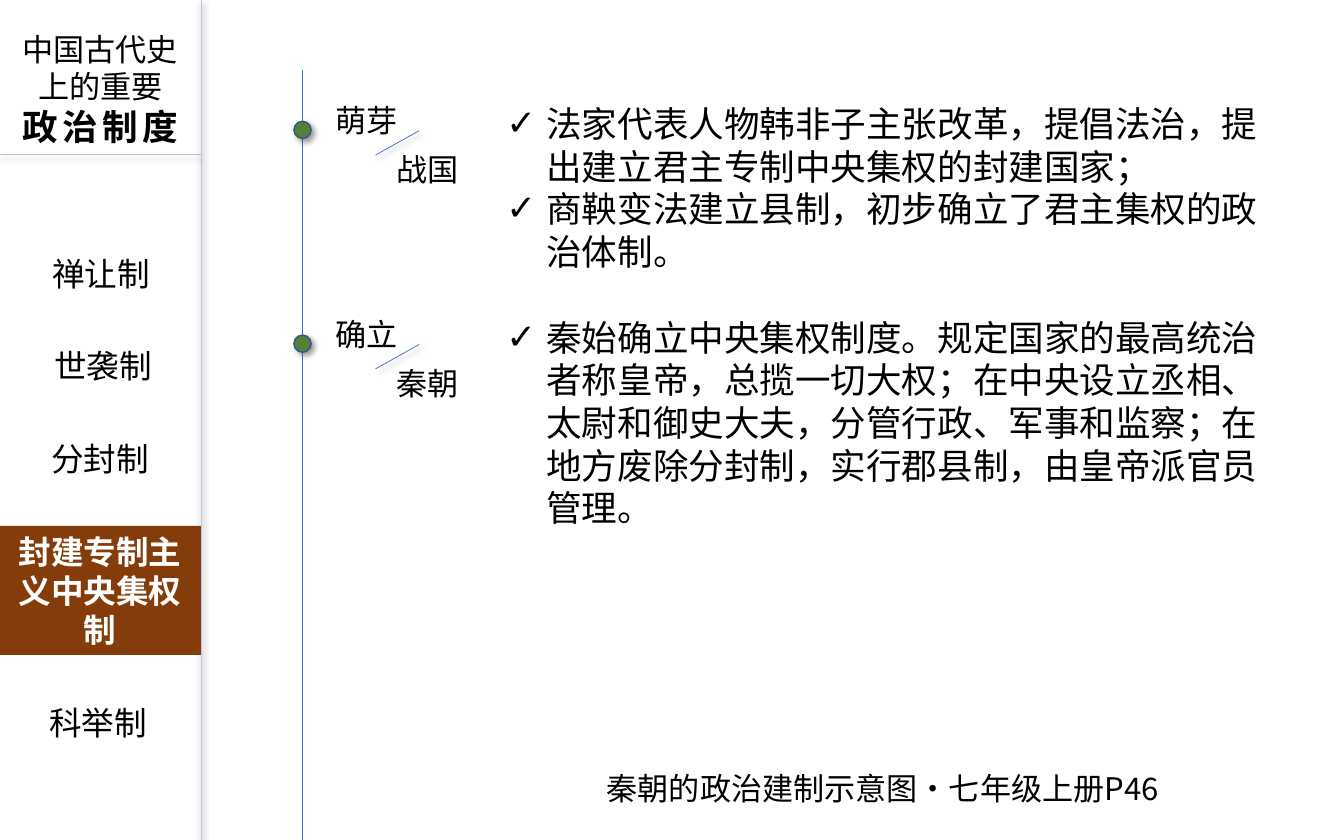
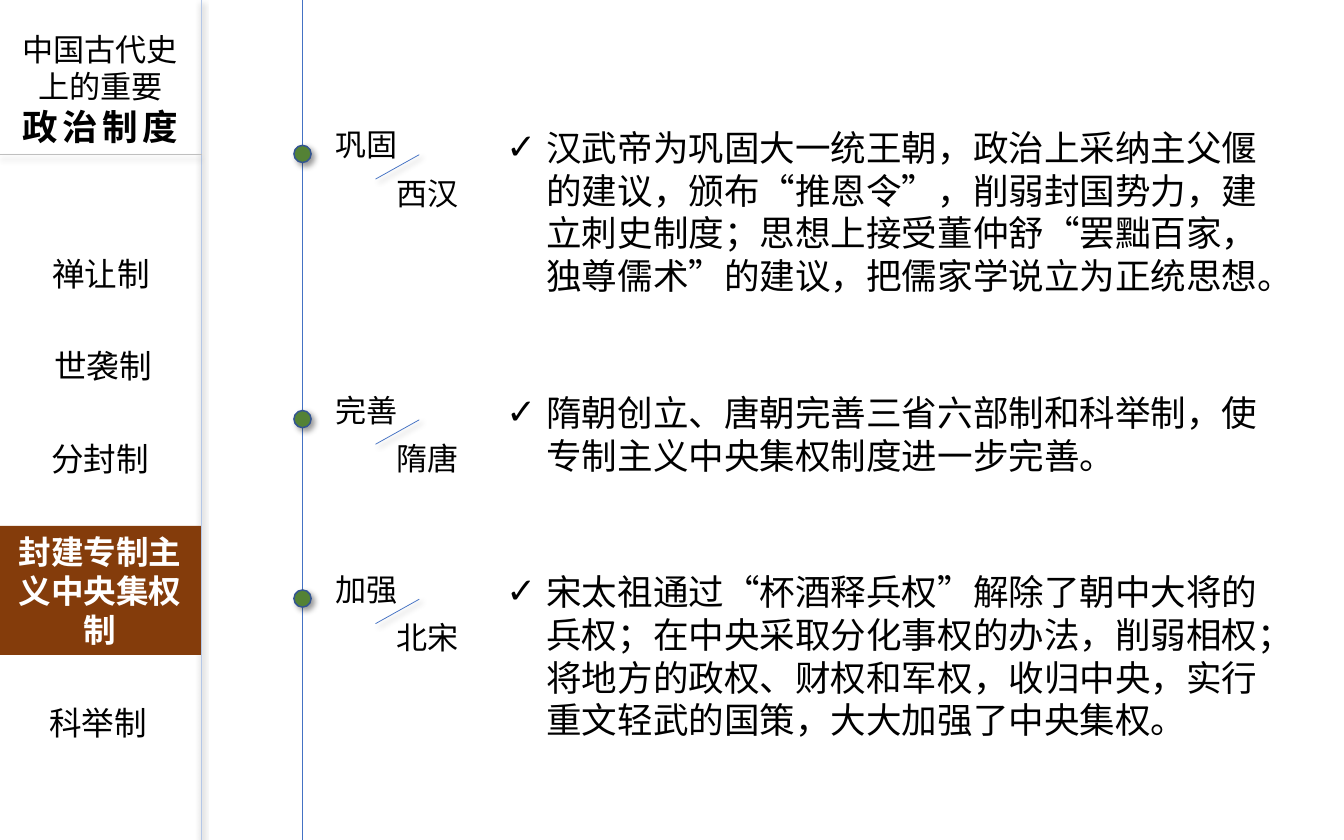
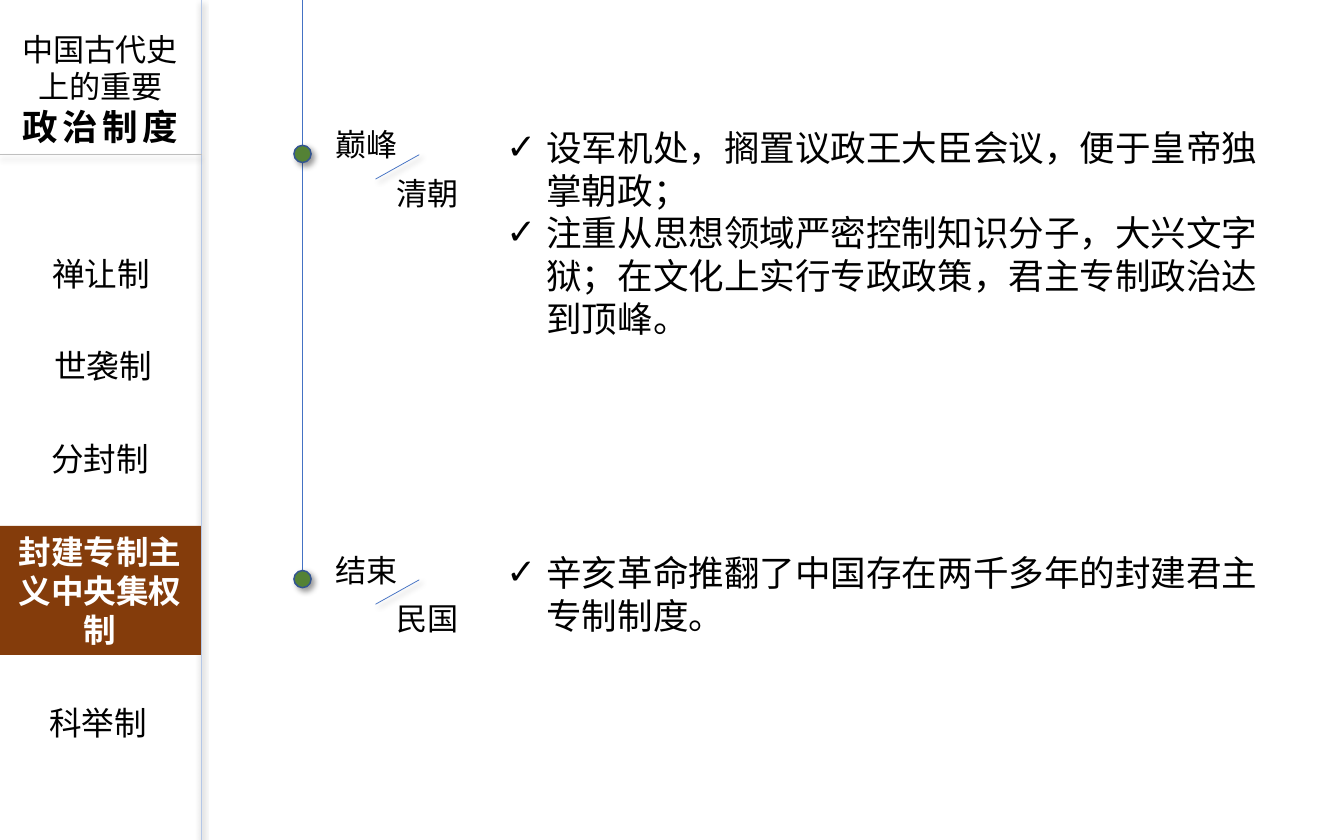
"""Build three timeline slides on the political systems of ancient China."""
from dataclasses import dataclass

import lxml.etree
import pptx
import pptx.dml.color
import pptx.enum.lang
import pptx.enum.shapes
import pptx.enum.text
import pptx.oxml.ns
import pptx.util

Pt = pptx.util.Pt
qn = pptx.oxml.ns.qn
MIDDLE = pptx.enum.text.MSO_ANCHOR.MIDDLE
CENTER = pptx.enum.text.PP_ALIGN.CENTER


@dataclass(frozen=True)
class Theme:
    """Colours, fonts, type sizes and page measures."""
    ink: str = "000000"
    paper: str = "FFFFFF"
    band: str = "843C0B"
    edge: str = "B4C7E7"
    rule: str = "BFBFBF"
    axis: str = "4472C4"
    dot: str = "548235"
    dot_edge: str = "325491"
    latin: str = "Arial"
    chinese: str = "Noto Sans CJK SC"
    label_size: float = 21
    menu_size: float = 22
    body_size: float = 24
    leading: float = 1.2
    width: float = 907.2
    height: float = 567
    sidebar: float = 136.1
    axis_x: float = 204.2


THEME = Theme()

MENU = [("禅让制", 0.2, 184.7), ("世袭制", 1.5, 247), ("分封制", -0.4, 309.3), ("科举制", -1.8, 487.5)]

SLIDES = [
    {"axis": (47.5, THEME.height),
     "source": "秦朝的政治建制示意图·七年级上册P46",
     "stages": [
         (65.2, "萌芽", "战国", [
             "法家代表人物韩非子主张改革，提倡法治，提出建立君主专制中央集权的封建国家；",
             "商鞅变法建立县制，初步确立了君主集权的政治体制。"]),
         (209.5, "确立", "秦朝", [
             "秦始确立中央集权制度。规定国家的最高统治者称皇帝，总揽一切大权；在中央设立丞相、"
             "太尉和御史大夫，分管行政、军事和监察；在地方废除分封制，实行郡县制，由皇帝派官员管理。"])]},
    {"axis": (0, THEME.height),
     "stages": [
         (81.4, "巩固", "西汉", [
             "汉武帝为巩固大一统王朝，政治上采纳主父偃的建议，颁布“推恩令”，削弱封国势力，"
             "建立刺史制度；思想上接受董仲舒“罢黜百家，独尊儒术”的建议，把儒家学说立为正统思想。"]),
         (260.4, "完善", "隋唐", [
             "隋朝创立、唐朝完善三省六部制和科举制，使专制主义中央集权制度进一步完善。"]),
         (381.5, "加强", "北宋", [
             "宋太祖通过“杯酒释兵权”解除了朝中大将的兵权；在中央采取分化事权的办法，削弱相权；"
             "将地方的政权、财权和军权，收归中央，实行重文轻武的国策，大大加强了中央集权。"])]},
    {"axis": (0, 396.7),
     "stages": [
         (81.4, "巅峰", "清朝", [
             "设军机处，搁置议政王大臣会议，便于皇帝独掌朝政；",
             "注重从思想领域严密控制知识分子，大兴文字狱；在文化上实行专政政策，君主专制政治达到顶峰。"]),
         (368.4, "结束", "民国", [
             "辛亥革命推翻了中国存在两千多年的封建君主专制制度。"])]},
]


def rgb(value):
    """Turn a hex string into a colour."""
    return pptx.dml.color.RGBColor.from_string(value)


def set_shadow(shape, angle=None):
    """Replace the inherited shadow by none, or by a soft one at an angle."""
    effects = lxml.etree.SubElement(shape._element.spPr, qn("a:effectLst"))
    if angle is not None:
        outer = lxml.etree.SubElement(
            effects, qn("a:outerShdw"), blurRad=str(Pt(4)), dist=str(Pt(3)),
            dir=str(angle * 60000), algn="tl", rotWithShape="0")
        tone = lxml.etree.SubElement(outer, qn("a:srgbClr"), val=THEME.ink)
        lxml.etree.SubElement(tone, qn("a:alpha"), val="40000")


def write_text(frame, text, size=THEME.label_size, font=THEME.chinese, color=THEME.ink,
               bold=False, align=None, tracking=0, check=False):
    """Add one formatted paragraph to a text frame."""
    paragraph = frame.paragraphs[0]
    if paragraph.runs:
        paragraph = frame.add_paragraph()
    paragraph.alignment = align
    paragraph.line_spacing = Pt(size * THEME.leading)
    if check:
        properties = paragraph._p.get_or_add_pPr()
        properties.set("marL", str(Pt(27)))
        properties.set("indent", str(Pt(-27)))
        properties.set("hangingPunct", "1")
        lxml.etree.SubElement(properties, qn("a:buFont"), typeface=THEME.latin)
        lxml.etree.SubElement(properties, qn("a:buChar"), char="✓")
    run = paragraph.add_run()
    run.text = text
    run.font.size = Pt(size)
    run.font.bold = bold
    run.font.color.rgb = rgb(color)
    run.font.name = font
    run.font.language_id = pptx.enum.lang.MSO_LANGUAGE_ID.SIMPLIFIED_CHINESE
    lettering = run._r.get_or_add_rPr()
    lxml.etree.SubElement(lettering, qn("a:ea"), typeface=THEME.chinese)
    if tracking:
        lettering.set("spc", str(tracking * 100))


def add_frame(slide, left, top, width, height, anchor=None):
    """Add a wrapping text box and return its text frame."""
    frame = slide.shapes.add_textbox(Pt(left), Pt(top), Pt(width), Pt(height)).text_frame
    frame.word_wrap = True
    frame.vertical_anchor = anchor
    return frame


def add_line(slide, start, end, color, weight=0.5, shadow=None):
    """Draw a straight line between two points."""
    line = slide.shapes.add_connector(
        pptx.enum.shapes.MSO_CONNECTOR.STRAIGHT, *(Pt(value) for value in (*start, *end)))
    line._element.remove(line._element.find(qn("p:style")))
    line.line.color.rgb = rgb(color)
    line.line.width = Pt(weight)
    set_shadow(line, shadow)


def add_filled(slide, kind, box, fill, edge=None, shadow=None):
    """Add a filled preset shape with an optional outline."""
    shape = slide.shapes.add_shape(kind, *(Pt(value) for value in box))
    shape.fill.solid()
    shape.fill.fore_color.rgb = rgb(fill)
    if edge:
        shape.line.color.rgb = rgb(edge)
        shape.line.width = Pt(1)
    else:
        shape.line.fill.background()
    set_shadow(shape, shadow)
    return shape


def add_sidebar(slide):
    """Draw the topic heading and the menu with its current entry."""
    side = THEME.sidebar
    add_line(slide, (side, 0), (side, THEME.height), THEME.edge, 0.75, shadow=90)
    for entry, left, middle in MENU:
        frame = add_frame(slide, left, middle - 17, side, 34, MIDDLE)
        write_text(frame, entry, size=THEME.menu_size, align=CENTER)
    current = add_filled(slide, pptx.enum.shapes.MSO_SHAPE.RECTANGLE,
                         (-0.4, 355, side, 87), THEME.band).text_frame
    current.word_wrap = True
    current.vertical_anchor = MIDDLE
    write_text(current, "封建专制主义中央集权制", size=THEME.menu_size, color=THEME.paper,
               bold=True, align=CENTER)
    heading = add_frame(slide, -0.4, 17, side, 87)
    write_text(heading, "中国古代史上的重要", align=CENTER)
    write_text(heading, "政治制度", size=THEME.body_size, bold=True, align=CENTER, tracking=3)
    add_line(slide, (0, 104.4), (side, 104.4), THEME.rule, shadow=90)


def add_stage(slide, top, phase, era, points):
    """Draw one timeline stage: dot, phase / era label and checked points."""
    body = add_frame(slide, 334.7, top, 544, 124)
    for point in points:
        write_text(body, point, size=THEME.body_size, font=THEME.latin, check=True)
    add_filled(slide, pptx.enum.shapes.MSO_SHAPE.OVAL,
               (THEME.axis_x - 5.8, top + 16.7, 11.6, 11.6),
               THEME.dot, THEME.dot_edge, shadow=45)
    write_text(add_frame(slide, 219.6, top, 59, 32), phase)
    add_line(slide, (283, top + 23), (253.5, top + 39.5), THEME.axis, shadow=45)
    write_text(add_frame(slide, 260.6, top + 32.7, 59, 32), era)


def add_timeline(slide, axis, stages, source=None):
    """Draw the axis, its stages and the source of the diagram."""
    start, end = axis
    add_line(slide, (THEME.axis_x, start), (THEME.axis_x, end), THEME.axis)
    for stage in stages:
        add_stage(slide, *stage)
    if source:
        write_text(add_frame(slide, 402.5, 515.8, 436, 32), source)


def main():
    """Build and save the presentation."""
    deck = pptx.Presentation()
    deck.slide_width, deck.slide_height = Pt(THEME.width), Pt(THEME.height)
    for content in SLIDES:
        slide = deck.slides.add_slide(deck.slide_layouts[6])
        add_sidebar(slide)
        add_timeline(slide, **content)
    deck.save("out.pptx")


if __name__ == "__main__":
    main()
